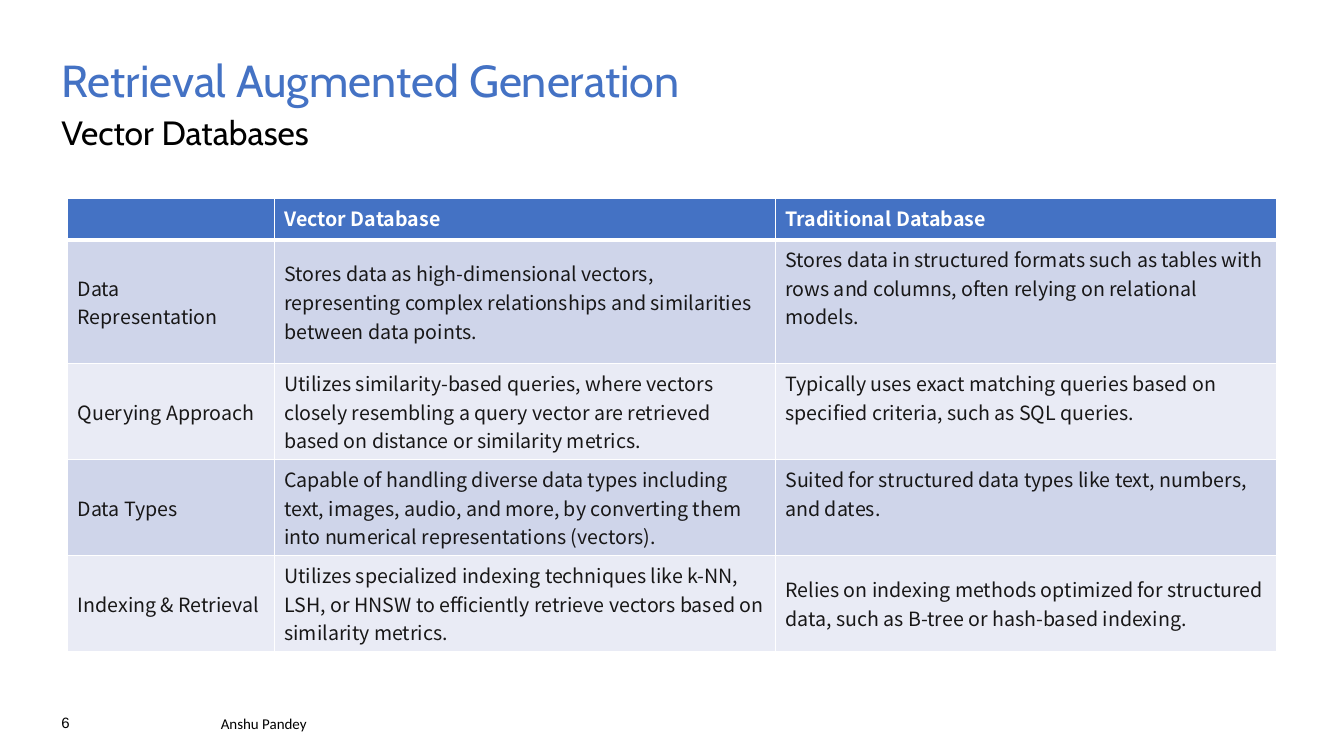
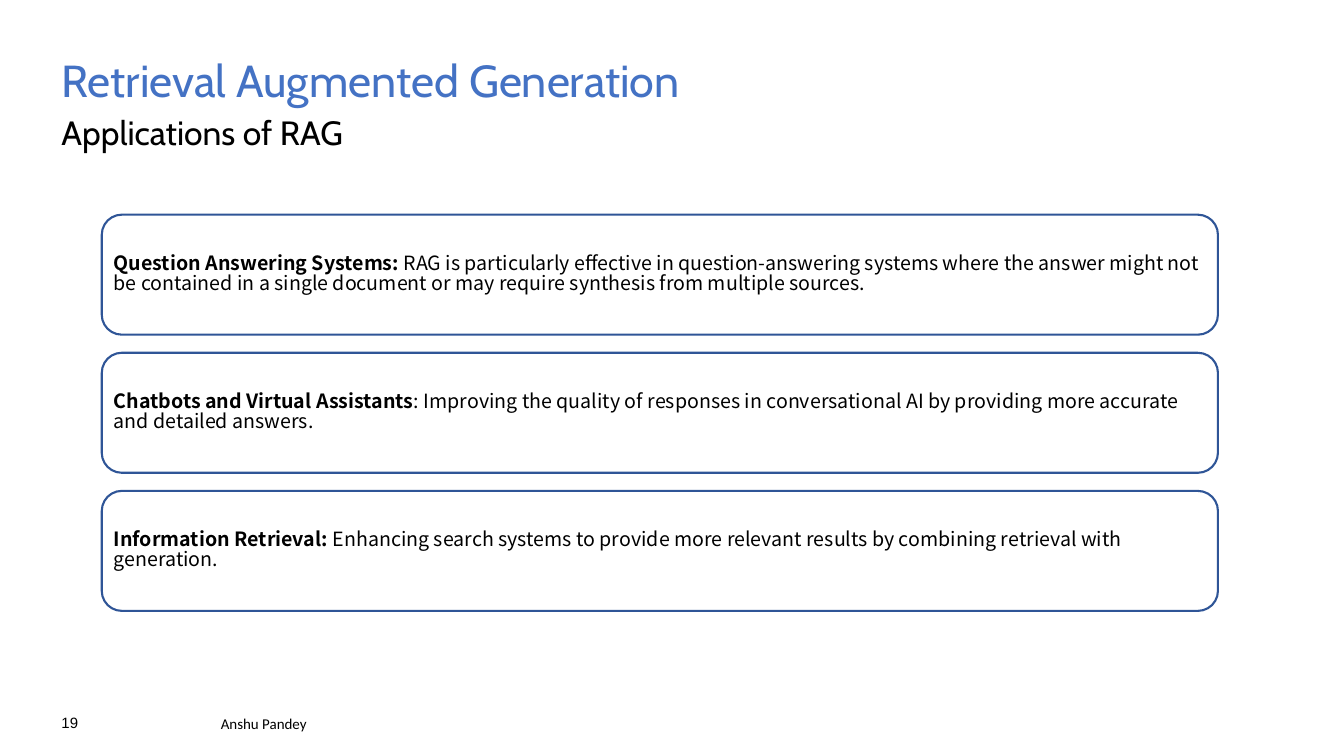
from lxml.etree import SubElement
from pptx import Presentation
from pptx.dml.color import RGBColor
from pptx.enum.shapes import MSO_SHAPE
from pptx.enum.text import MSO_ANCHOR, MSO_AUTO_SIZE, PP_ALIGN
from pptx.oxml.ns import qn
from pptx.util import Inches, Pt

COLORS = {
    "blue": "4472C4", "outline": "2F5597", "band": "CFD5EA", "pale": "E9EBF5",
    "white": "FFFFFF", "black": "000000", "ink": "181717",
}
HEADING_FONT = "Cabin"
BODY_FONT = "Noto Sans CJK TC"
TITLE = "Retrieval Augmented Generation"
AUTHOR = "Anshu Pandey"
MARGIN = 0.61

COMPARISON = [
    ("", "Vector Database", "Traditional Database"),
    ("Data Representation",
     "Stores data as high-dimensional vectors, representing complex relationships "
     "and similarities between data points.",
     "Stores data in structured formats such as tables with rows and columns, "
     "often relying on relational models."),
    ("Querying Approach",
     "Utilizes similarity-based queries, where vectors closely resembling a query "
     "vector are retrieved based on distance or similarity metrics.",
     "Typically uses exact matching queries based on specified criteria, such as "
     "SQL queries."),
    ("Data Types",
     "Capable of handling diverse data types including text, images, audio, and "
     "more, by converting them into numerical representations (vectors).",
     "Suited for structured data types like text, numbers, and dates."),
    ("Indexing & Retrieval",
     "Utilizes specialized indexing techniques like k-NN, LSH, or HNSW to "
     "efficiently retrieve vectors based on similarity metrics.",
     "Relies on indexing methods optimized for structured data, such as B-tree or "
     "hash-based indexing."),
]
COLUMN_WIDTHS = (2.05, 4.97, 4.97)
ROW_HEIGHTS = (0.41, 1.23, 0.95, 0.95, 0.95)
TOP_ANCHORED = {(1, 2), (2, 2), (3, 2)}

APPLICATIONS = [
    ("Question Answering Systems: ",
     "RAG is particularly effective in question-answering systems where the answer "
     "might not be contained in a single document or may require synthesis from "
     "multiple sources."),
    ("Chatbots and Virtual Assistants",
     ": Improving the quality of responses in conversational AI by providing more "
     "accurate and detailed answers."),
    ("Information Retrieval: ",
     "Enhancing search systems to provide more relevant results by combining "
     "retrieval with generation."),
]


def rgb(name):
    return RGBColor.from_string(COLORS[name])


def style(para, font, size, color, bold=False):
    para.font.name = font
    para.font.size = Pt(size)
    para.font.bold = bold
    para.font.color.rgb = rgb(color)


def set_frame(frame, inset, anchor, wrap=True):
    frame.word_wrap = wrap
    frame.auto_size = MSO_AUTO_SIZE.NONE
    frame.vertical_anchor = anchor
    frame.margin_left = frame.margin_right = Inches(inset)
    frame.margin_top = frame.margin_bottom = Inches(inset)


def fill_heading(holder, text, top, size, color, spacing):
    holder.left, holder.top = Inches(MARGIN), Inches(top)
    holder.width, holder.height = Inches(12.12), Inches(0.5)
    frame = holder.text_frame
    set_frame(frame, 0, MSO_ANCHOR.TOP)
    frame.text = text
    para = frame.paragraphs[0]
    para.alignment = PP_ALIGN.LEFT
    para.space_before = Pt(0)
    para.line_spacing = spacing
    properties = para._p.get_or_add_pPr()
    properties.set("marL", "0")
    properties.set("indent", "0")
    SubElement(properties, qn("a:buNone"))
    style(para, HEADING_FONT, size, color)


def add_footer_text(page, text, left, top, width, font, wrap):
    box = page.shapes.add_textbox(Inches(left), Inches(top), Inches(width), Inches(0.18))
    set_frame(box.text_frame, 0, MSO_ANCHOR.BOTTOM, wrap)
    box.text_frame.text = text
    style(box.text_frame.paragraphs[0], font, 10.7, "black")


def add_page(deck, subtitle, number):
    """Add a slide with the shared title, subtitle and footer."""
    page = deck.slides.add_slide(deck.slide_layouts[1])
    fill_heading(page.shapes.title, TITLE, 0.58, 32, "blue", 0.9)
    fill_heading(page.placeholders[1], subtitle, 1.11, 24, "black", 1.0)
    add_footer_text(page, str(number), MARGIN, 7.08, 0.18, "Arial", False)
    add_footer_text(page, AUTHOR, 2.19, 7.09, 2.31, "Calibri", True)
    return page


def set_borders(cell, **widths):
    """Draw white cell borders with widths in points for L, R, T and B."""
    properties = cell._tc.get_or_add_tcPr()
    for side in "LRTB":
        line = SubElement(properties, qn(f"a:ln{side}"), w=str(Pt(widths.get(side, 1))))
        fill = SubElement(line, qn("a:solidFill"))
        SubElement(fill, qn("a:srgbClr"), val=COLORS["white"])


def add_comparison(page, left, top):
    table = page.shapes.add_table(
        len(COMPARISON), len(COLUMN_WIDTHS), Inches(left), Inches(top),
        Inches(sum(COLUMN_WIDTHS)), Inches(sum(ROW_HEIGHTS))).table
    table.first_row = table.horz_banding = False
    for column, width in zip(table.columns, COLUMN_WIDTHS):
        column.width = Inches(width)
    for row, height in zip(table.rows, ROW_HEIGHTS):
        row.height = Inches(height)
    for row_index, texts in enumerate(COMPARISON):
        header = row_index == 0
        fill = "blue" if header else "band" if row_index % 2 else "pale"
        widths = {"B": 3} if header else {"T": 3} if row_index == 1 else {}
        for column_index, text in enumerate(texts):
            cell = table.cell(row_index, column_index)
            set_borders(cell, **widths)
            cell.fill.solid()
            cell.fill.fore_color.rgb = rgb(fill)
            at_top = header or (row_index, column_index) in TOP_ANCHORED
            cell.vertical_anchor = MSO_ANCHOR.TOP if at_top else MSO_ANCHOR.MIDDLE
            cell.text = text
            style(cell.text_frame.paragraphs[0], BODY_FONT, 14,
                  "white" if header else "ink", header)


def add_application(page, left, top, width, height, lead, detail):
    card = page.shapes.add_shape(MSO_SHAPE.ROUNDED_RECTANGLE, Inches(left),
                                 Inches(top), Inches(width), Inches(height))
    card.shadow.inherit = False
    card.fill.background()
    card.line.color.rgb = rgb("outline")
    card.line.width = Pt(1.5)
    set_frame(card.text_frame, 0.06, MSO_ANCHOR.MIDDLE)
    para = card.text_frame.paragraphs[0]
    para.alignment = PP_ALIGN.LEFT
    para.line_spacing = 0.84
    style(para, BODY_FONT, 14, "black")
    for text, bold in ((lead, True), (detail, False)):
        span = para.add_run()
        span.text = text
        span.font.bold = bold


def add_applications(page, left, top, width, height, gap):
    for index, (lead, detail) in enumerate(APPLICATIONS):
        card_top = top + index * (height + gap)
        add_application(page, left, card_top, width, height, lead, detail)


def main():
    deck = Presentation()
    deck.slide_width, deck.slide_height = Inches(13.33), Inches(7.5)
    add_comparison(add_page(deck, "Vector Databases", 6), 0.67, 1.97)
    add_applications(add_page(deck, "Applications of RAG", 19),
                     1.01, 2.13, 11.07, 1.19, 0.18)
    deck.save("out.pptx")


if __name__ == "__main__":
    main()
